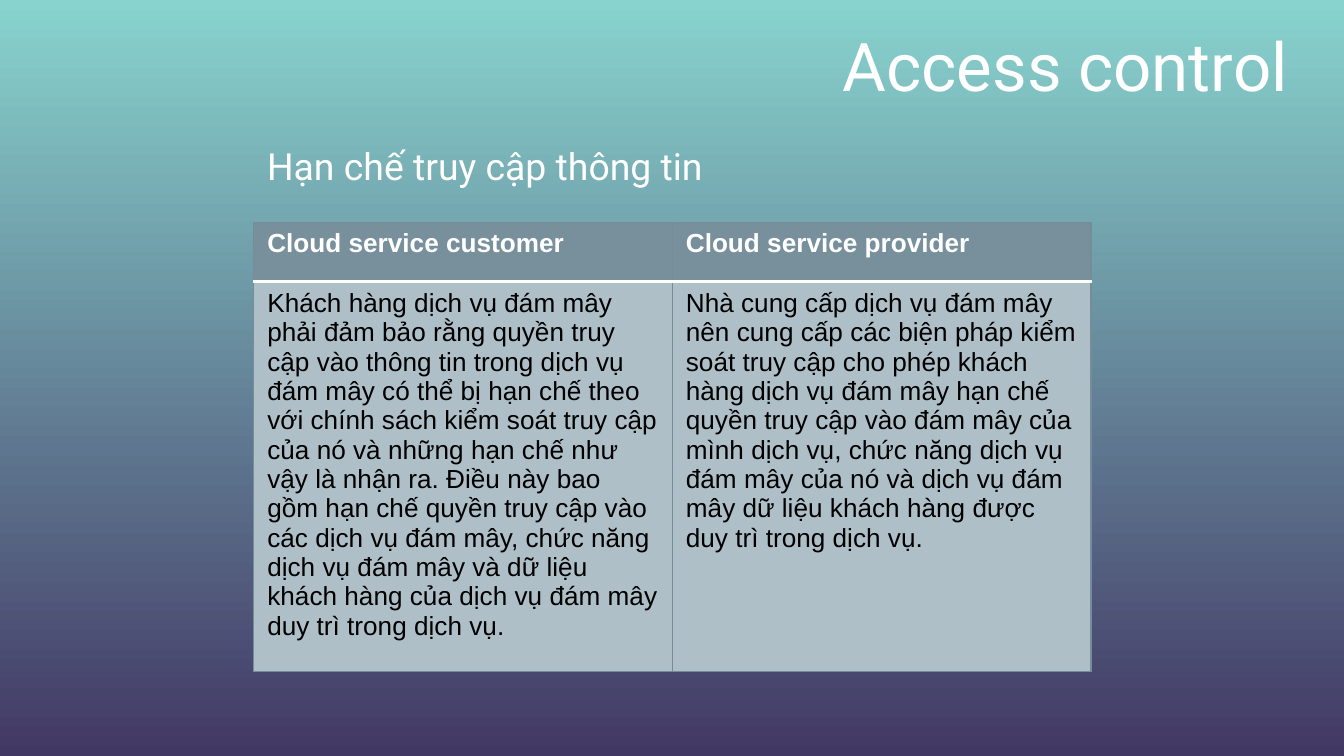
from lxml import etree
from pptx import Presentation
from pptx.dml.color import RGBColor
from pptx.enum.text import MSO_ANCHOR, PP_ALIGN
from pptx.oxml.ns import qn
from pptx.util import Pt

MIDDLE, TOP = MSO_ANCHOR.MIDDLE, MSO_ANCHOR.TOP
LEFT, RIGHT = PP_ALIGN.LEFT, PP_ALIGN.RIGHT

COLORS = {
    "sky": "88D3CE",
    "night": "423864",
    "white": "FFFFFF",
    "black": "000000",
    "header": "78909C",
    "body": "AEBFC8",
    "border": "748D99",
}


def add_heading(text, left, top, width, height, size, align, anchor):
    box = slide.shapes.add_textbox(Pt(left), Pt(top), Pt(width), Pt(height))
    frame = box.text_frame
    frame.word_wrap = True
    frame.vertical_anchor = anchor
    frame.text = text
    paragraph = frame.paragraphs[0]
    paragraph.alignment = align
    paragraph.font.name = "Roboto"
    paragraph.font.size = Pt(size)
    paragraph.font.color.rgb = RGBColor.from_string(COLORS["white"])


def set_border(cell, side, color, width):
    line = etree.Element(qn(f"a:{side}"), w=str(Pt(width)))
    fill = etree.SubElement(line, qn("a:solidFill"))
    etree.SubElement(fill, qn("a:srgbClr"), val=COLORS[color])
    return line


presentation = Presentation()
presentation.slide_width = Pt(720)
presentation.slide_height = Pt(405)
slide = presentation.slides.add_slide(presentation.slide_layouts[6])

# Background gradient, top to bottom
background = slide.background.fill
background.gradient()
background.gradient_angle = 270
for stop, position, color in zip(background.gradient_stops, (0, 1), ("sky", "night")):
    stop.position = position
    stop.color.rgb = RGBColor.from_string(COLORS[color])

# Title and subtitle
add_heading("Access control", 52.5, 8.5, 644.5, 52.5, 36, RIGHT, MIDDLE)
add_heading("Hạn chế truy cập thông tin", 136, 73, 371.5, 31.5, 20, LEFT, TOP)

# Responsibilities of customer and provider
responsibilities = [
    ("Cloud service customer", "Cloud service provider"),
    (
        "Khách hàng dịch vụ đám mây phải đảm bảo rằng quyền truy cập vào thông tin "
        "trong dịch vụ đám mây có thể bị hạn chế theo với chính sách kiểm soát truy "
        "cập của nó và những hạn chế như vậy là nhận ra. Điều này bao gồm hạn chế "
        "quyền truy cập vào các dịch vụ đám mây, chức năng dịch vụ đám mây và dữ "
        "liệu khách hàng của dịch vụ đám mây duy trì trong dịch vụ.",
        "Nhà cung cấp dịch vụ đám mây nên cung cấp các biện pháp kiểm soát truy cập "
        "cho phép khách hàng dịch vụ đám mây hạn chế quyền truy cập vào đám mây của "
        "mình dịch vụ, chức năng dịch vụ đám mây của nó và dịch vụ đám mây dữ liệu "
        "khách hàng được duy trì trong dịch vụ.",
    ),
]
row_heights = (32, 195.5)
table = slide.shapes.add_table(
    2, 2, Pt(136), Pt(119), Pt(448.5), Pt(sum(row_heights))
).table
for row, height in zip(table.rows, row_heights):
    row.height = Pt(height)

for r, texts in enumerate(responsibilities):
    is_header = r == 0
    for c, text in enumerate(texts):
        cell = table.cell(r, c)
        cell.text = text
        cell.fill.solid()
        cell.fill.fore_color.rgb = RGBColor.from_string(
            COLORS["header" if is_header else "body"]
        )
        font = cell.text_frame.paragraphs[0].font
        font.name = "Arial"
        font.size = Pt(14)
        font.bold = is_header
        font.color.rgb = RGBColor.from_string(COLORS["white" if is_header else "black"])

        # Thin grid with a white rule under the header
        borders = {side: ("border", 0.75) for side in ("lnL", "lnR", "lnT", "lnB")}
        borders["lnB" if is_header else "lnT"] = ("white", 2)
        properties = cell._tc.get_or_add_tcPr()
        for i, (side, (color, width)) in enumerate(borders.items()):
            properties.insert(i, set_border(cell, side, color, width))

presentation.save("out.pptx")
